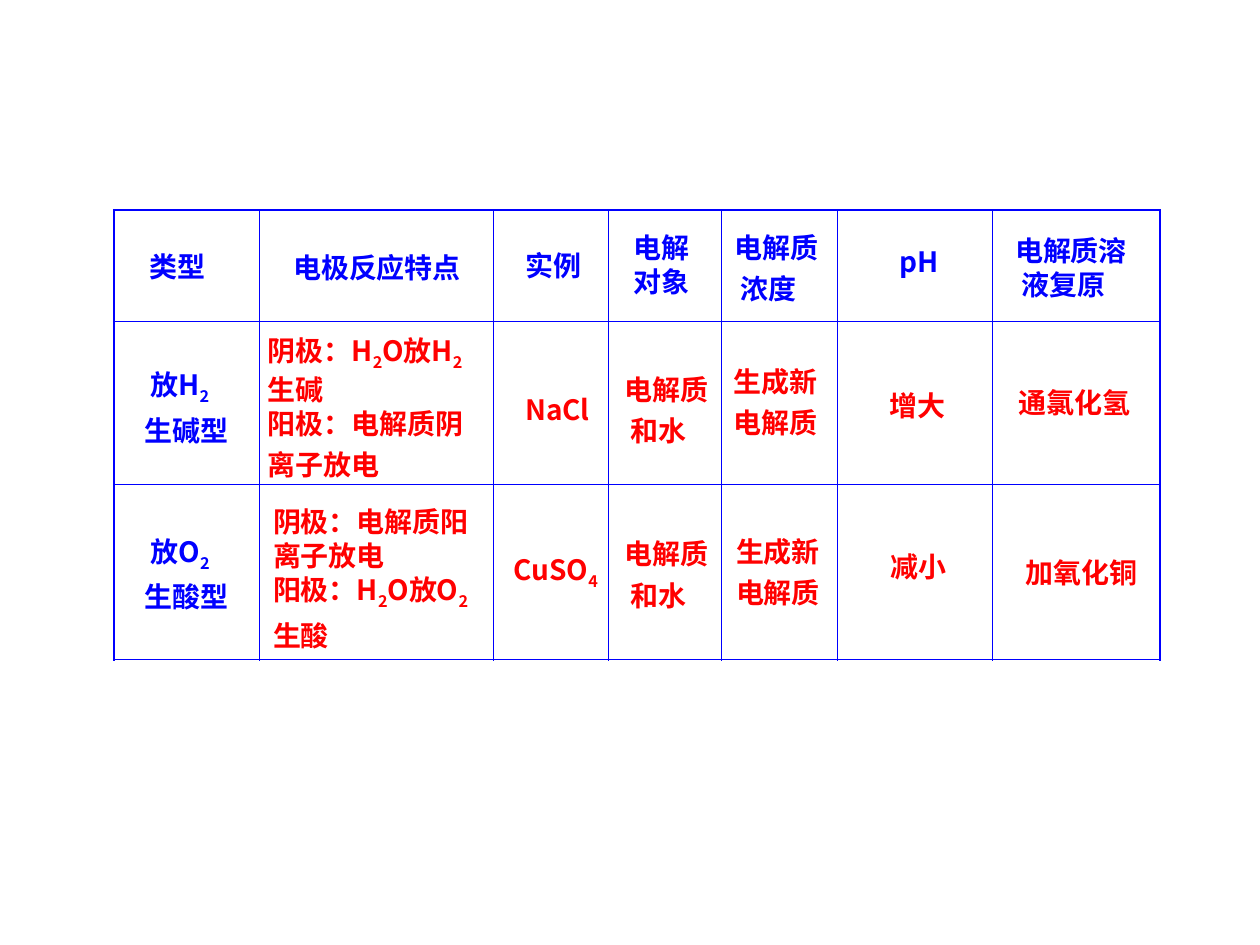
from dataclasses import dataclass

import lxml.etree
import pptx
import pptx.dml.color
import pptx.enum.text
import pptx.oxml.ns
import pptx.presentation
import pptx.shapes.shapetree
import pptx.table
import pptx.text.text
import pptx.util

COLORS = {"heading": "0000FF", "answer": "FF0000", "border": "0000FF"}
FONT = "Noto Sans CJK SC"
FONT_SIZE = 16
LINE_HEIGHT = 19.5
TALL_LINE = 23.5
LOOSE_LINE = 30
SUBSCRIPT_EXTRA = 2.5
INDENT = 3.5

TABLE_LEFT, TABLE_TOP = 65, 120
COLUMN_WIDTHS = [83, 134, 65.5, 65, 66, 88.5, 96]
ROW_HEIGHTS = [63.5, 93.5, 100]
OUTER_LINE, INNER_LINE = 1.08, 0.45


@dataclass
class Label:
    left: float
    top: float
    width: float
    height: float
    lines: list[str]
    color: str = "answer"
    indented_line: int = -1
    last_line: float = TALL_LINE


NEW_ELECTROLYTE = ["生成新", "电解质"]
ELECTROLYTE_AND_WATER = ["电解质", "和水"]

LABELS = [
    Label(78.5, 139, 100, 26.5, ["类型"], "heading", last_line=LINE_HEIGHT),
    Label(160.5, 135.5, 161, 31.5, ["电极反应特点"], "heading"),
    Label(293, 134, 79, 31.5, ["实例"], "heading"),
    Label(355, 128, 79, 46, ["电解", "对象"], "heading", last_line=LINE_HEIGHT),
    Label(412.5, 128, 79, 50.5, ["电解质", "浓度"], "heading", 1),
    Label(507, 132, 103, 31.5, ["pH"], "heading"),
    Label(573, 129.5, 135, 46, ["电解质溶", "液复原"], "heading", 1, LINE_HEIGHT),
    Label(75.5, 206.5, 80, 53.5, ["放H_2", "生碱型"], "heading", 0),
    Label(146, 187, 161, 91.5, ["阴极：H_2O放H_2", "生碱", "阳极：电解质阴", "离子放电"]),
    Label(293, 216.5, 79, 31.5, ["NaCl"]),
    Label(350, 209, 79, 50.5, ELECTROLYTE_AND_WATER, indented_line=1),
    Label(412, 204.5, 79, 50.5, NEW_ELECTROLYTE),
    Label(501, 207.5, 79, 39, ["增大"], last_line=LOOSE_LINE),
    Label(575, 206, 101, 39, ["通氯化氢"], last_line=LOOSE_LINE),
    Label(75.5, 301.5, 80, 53.5, ["放O_2", "生酸型"], "heading", 0),
    Label(149, 284.5, 161, 91.5, ["阴极：电解质阳", "离子放电", "阳极：H_2O放O_2", "生酸"]),
    Label(286.5, 308, 79, 57.5, ["CuSO_4"]),
    Label(350, 303, 79, 50.5, ELECTROLYTE_AND_WATER, indented_line=1),
    Label(413.5, 301.5, 79, 50.5, NEW_ELECTROLYTE),
    Label(502, 306, 79, 31.5, ["减小"]),
    Label(579, 309.5, 119.5, 31.5, ["加氧化铜"]),
]


def add_element(parent: lxml.etree._Element, tag: str, **attributes: str) -> lxml.etree._Element:
    return lxml.etree.SubElement(parent, pptx.oxml.ns.qn(tag), attributes)


def set_border(cell: pptx.table._Cell, side: str, width: float) -> None:
    properties = cell._tc.get_or_add_tcPr()
    line = add_element(properties, f"a:ln{side}", w=str(int(pptx.util.Pt(width))))
    fill = add_element(line, "a:solidFill")
    add_element(fill, "a:srgbClr", val=COLORS["border"])


def add_grid(shapes: pptx.shapes.shapetree.SlideShapes) -> None:
    row_count, column_count = len(ROW_HEIGHTS), len(COLUMN_WIDTHS)
    table = shapes.add_table(
        row_count, column_count,
        pptx.util.Pt(TABLE_LEFT), pptx.util.Pt(TABLE_TOP),
        pptx.util.Pt(sum(COLUMN_WIDTHS)), pptx.util.Pt(sum(ROW_HEIGHTS)),
    ).table
    table.first_row = False
    table.horz_banding = False
    for column, width in zip(table.columns, COLUMN_WIDTHS):
        column.width = pptx.util.Pt(width)
    for row, height in zip(table.rows, ROW_HEIGHTS):
        row.height = pptx.util.Pt(height)
    for row_index in range(row_count):
        for column_index in range(column_count):
            cell = table.cell(row_index, column_index)
            outer_sides = {
                "L": column_index == 0,
                "R": column_index == column_count - 1,
                "T": row_index == 0,
                "B": row_index == row_count - 1,
            }
            for side, is_outer in outer_sides.items():
                set_border(cell, side, OUTER_LINE if is_outer else INNER_LINE)
            cell.fill.background()


def add_formula(paragraph: pptx.text.text._Paragraph, text: str) -> None:
    first, *rest = text.split("_")
    paragraph.add_run().text = first
    for part in rest:
        subscript = paragraph.add_run()
        subscript.text = part[0]
        subscript._r.get_or_add_rPr().set("baseline", "-25000")
        if part[1:]:
            paragraph.add_run().text = part[1:]


def add_label(shapes: pptx.shapes.shapetree.SlideShapes, label: Label) -> None:
    position = (label.left, label.top, label.width, label.height)
    frame = shapes.add_textbox(*map(pptx.util.Pt, position)).text_frame
    frame.word_wrap = True
    frame.auto_size = pptx.enum.text.MSO_AUTO_SIZE.SHAPE_TO_FIT_TEXT
    for index, text in enumerate(label.lines):
        paragraph = frame.paragraphs[0] if index == 0 else frame.add_paragraph()
        add_formula(paragraph, text)
        height = label.last_line if index == len(label.lines) - 1 else LINE_HEIGHT
        if "_" in text:
            height += SUBSCRIPT_EXTRA
        paragraph.line_spacing = pptx.util.Pt(height)
        if index == label.indented_line:
            paragraph._p.get_or_add_pPr().set("marL", str(int(pptx.util.Pt(INDENT))))
        font = paragraph.font
        font.name = FONT
        font.size = pptx.util.Pt(FONT_SIZE)
        font.bold = True
        font.color.rgb = pptx.dml.color.RGBColor.from_string(COLORS[label.color])
        add_element(font._element, "a:ea", typeface=FONT)


def main() -> None:
    presentation = pptx.Presentation()
    presentation.slide_width = pptx.util.Pt(720)
    presentation.slide_height = pptx.util.Pt(540)
    slide = presentation.slides.add_slide(presentation.slide_layouts[6])
    add_grid(slide.shapes)
    for label in LABELS:
        add_label(slide.shapes, label)
    presentation.save("out.pptx")


if __name__ == "__main__":
    main()
